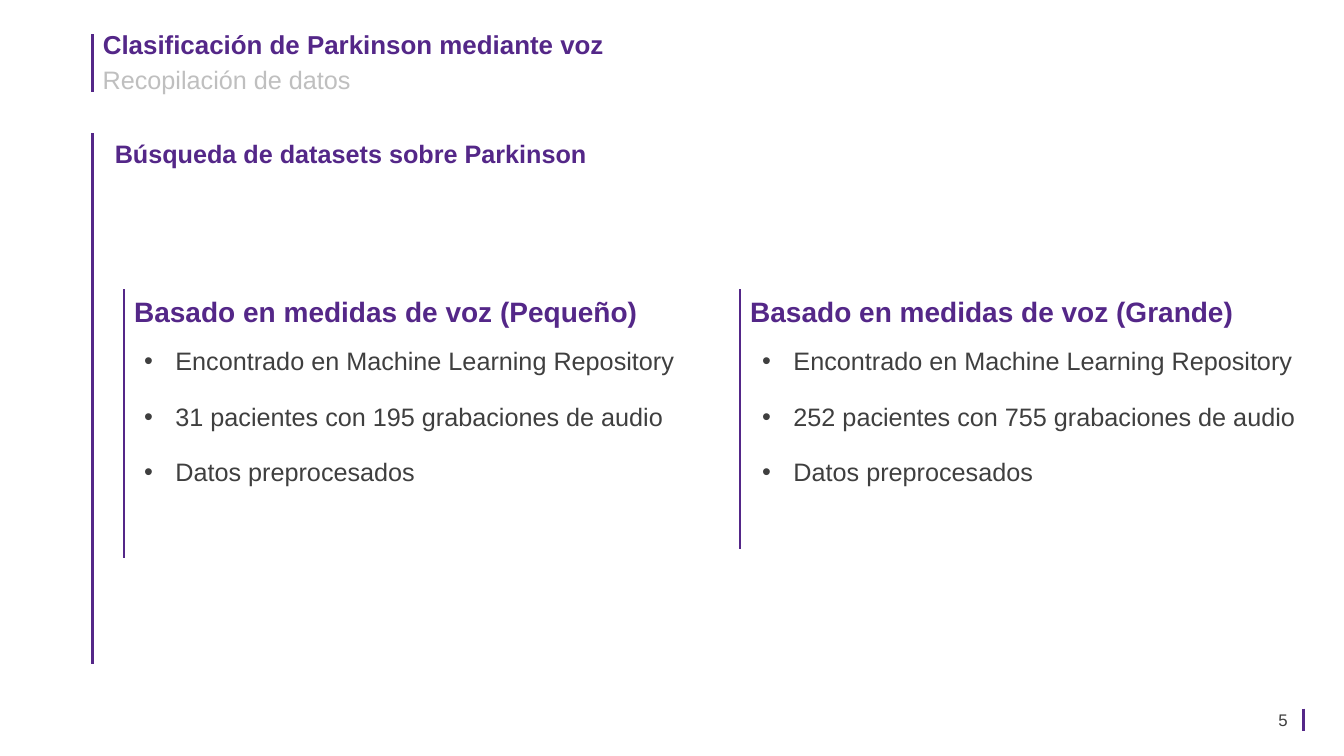
import pptx
import pptx.dml.color
import pptx.enum.shapes
import pptx.enum.text
import pptx.oxml.xmlchemy
import pptx.util
from pptx.util import Inches

COLORS = {"purple": "542788", "gray": "BFBFBF", "dark": "3F3F3F"}
FONT = "Arial"
ALIGN = pptx.enum.text.PP_ALIGN
ANCHOR = pptx.enum.text.MSO_ANCHOR


def color(name):
    return pptx.dml.color.RGBColor.from_string(COLORS[name])


def element(tag, **attributes):
    el = pptx.oxml.xmlchemy.OxmlElement(tag)
    for name, value in attributes.items():
        el.set(name, value)
    return el


def add_rule(s, x, top, bottom, width=2):
    """Draw a vertical purple line."""
    line = s.shapes.add_connector(pptx.enum.shapes.MSO_CONNECTOR.STRAIGHT,
                                  Inches(x), Inches(top), Inches(x), Inches(bottom))
    line.line.color.rgb = color("purple")
    line.line.width = pptx.util.Pt(width)
    line._element.spPr.append(element("a:effectLst"))


def place(sp, x, y, w, h, anchor=ANCHOR.TOP):
    """Position a text shape and set its frame; return the text frame."""
    sp.left, sp.top, sp.width, sp.height = Inches(x), Inches(y), Inches(w), Inches(h)
    tf = sp.text_frame
    tf.word_wrap = True
    tf.auto_size = pptx.enum.text.MSO_AUTO_SIZE.NONE
    tf.vertical_anchor = anchor
    tf.margin_left = tf.margin_right = Inches(0.1)
    tf.margin_top = tf.margin_bottom = Inches(0.05)
    return tf


def write(p, text, size, tone, bold=False, align=ALIGN.LEFT, spacing=1.0, before=0):
    p.alignment = align
    p.line_spacing = spacing
    p.space_before = pptx.util.Pt(before)
    r = p.add_run()
    r.text = text
    r.font.name = FONT
    r.font.size = pptx.util.Pt(size)
    r.font.bold = bold
    r.font.color.rgb = color(tone)


def add_label(s, box, text, size, tone, anchor=ANCHOR.TOP, **style):
    sp = s.shapes.add_textbox(0, 0, 0, 0)
    write(place(sp, *box, anchor).paragraphs[0], text, size, tone, **style)


def set_bullet(p):
    pPr = p._p.get_or_add_pPr()
    pPr.set("marL", str(Inches(0.31)))
    pPr.set("indent", str(-Inches(0.31)))
    bu_color = element("a:buClr")
    bu_color.append(element("a:srgbClr", val=COLORS["dark"]))
    pPr.extend([bu_color, element("a:buFont", typeface=FONT), element("a:buChar", char="•")])


def fill_dataset(s, heading_idx, x, list_x, bottom, heading, items):
    """Fill one column: side rule, heading and bullet list."""
    add_rule(s, x, 2.87, bottom)
    tf = place(s.placeholders[heading_idx], x, 2.87, 5.6, 0.44)
    write(tf.paragraphs[0], heading, 20, "purple", bold=True)
    tf = place(s.placeholders[heading_idx + 1], list_x, 3.38, 5.52, 1.52)
    for i, item in enumerate(items):
        p = tf.add_paragraph() if i else tf.paragraphs[0]
        write(p, item, 18, "dark", before=18 if i else 0)
        set_bullet(p)


def main():
    prs = pptx.Presentation()
    prs.slide_width, prs.slide_height = Inches(13.33), Inches(7.5)
    s = prs.slides.add_slide(prs.slide_layouts.get_by_name("Comparison"))

    add_rule(s, 0.92, 0.34, 0.91, 2.5)
    tf = place(s.shapes.title, 0.92, 0.29, 11.5, 0.36)
    write(tf.paragraphs[0], "Clasificación de Parkinson mediante voz", 18.5, "purple",
          bold=True, spacing=0.8)
    add_label(s, (0.92, 0.62, 11.5, 0.44), "Recopilación de datos", 18, "gray", spacing=0.9)

    add_rule(s, 0.92, 1.32, 6.59)
    add_label(s, (1.04, 1.32, 11.5, 0.4), "Búsqueda de datasets sobre Parkinson", 18,
              "purple", bold=True)

    source, state = "Encontrado en Machine Learning Repository", "Datos preprocesados"
    fill_dataset(s, 1, 1.23, 1.33, 5.54, "Basado en medidas de voz (Pequeño)",
                 [source, "31 pacientes con 195 grabaciones de audio", state])
    fill_dataset(s, 3, 7.34, 7.46, 5.45, "Basado en medidas de voz (Grande)",
                 [source, "252 pacientes con 755 grabaciones de audio", state])

    add_label(s, (12.33, 6.94, 0.54, 0.4), "5", 12, "dark", ANCHOR.MIDDLE, align=ALIGN.RIGHT)
    add_rule(s, 12.93, 7.03, 7.25, 2.5)
    prs.save("out.pptx")


if __name__ == "__main__":
    main()
